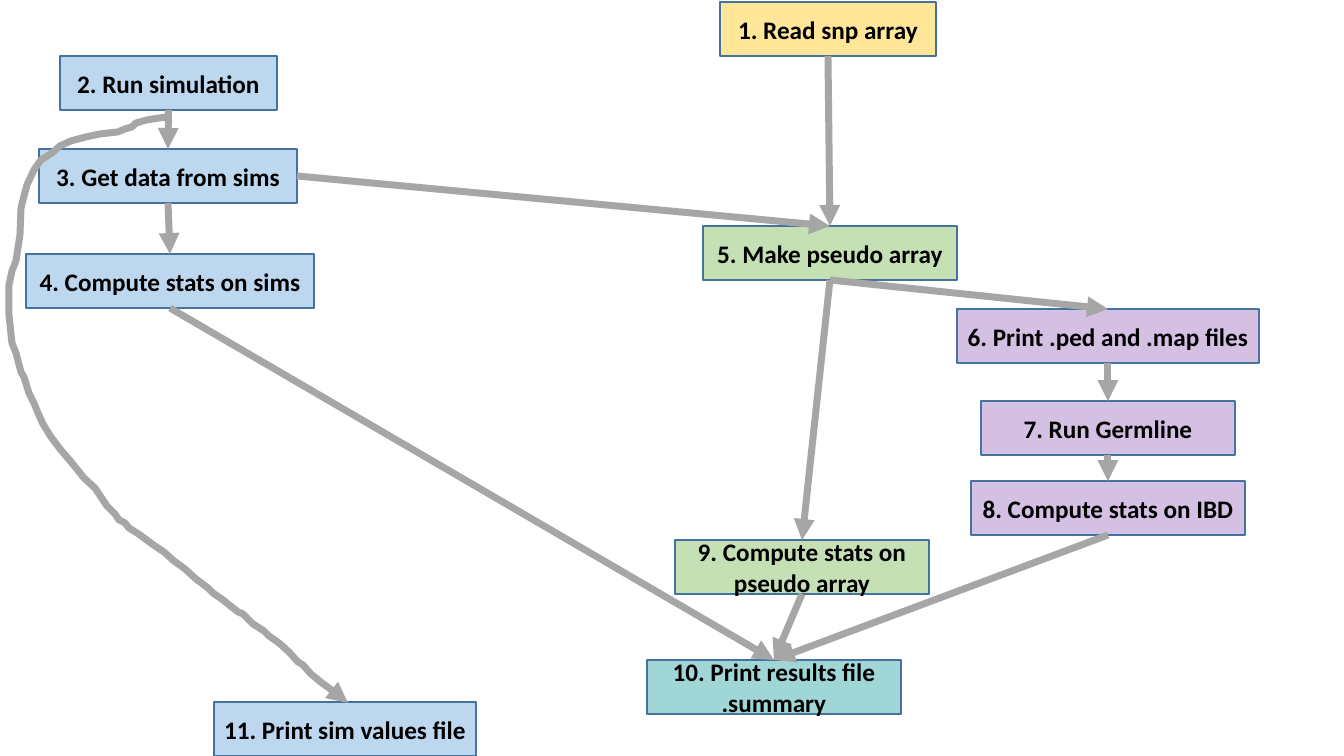
from pptx import Presentation
from pptx.dml.color import RGBColor
from pptx.enum.shapes import MSO_CONNECTOR, MSO_SHAPE
from pptx.enum.text import MSO_ANCHOR, PP_ALIGN
from pptx.oxml.ns import qn
from pptx.util import Pt
from lxml.etree import SubElement

PX = 914400 / 100.8
BOX_HEIGHT = 54
TOP, BOTTOM, RIGHT = 0, 2, 3
OUTLINE, ARROW = "43739E", "A6A6A6"
YELLOW, BLUE, GREEN = ("FFE699", 100), ("BDD7EE", 100), ("C5E0B4", 100)
PURPLE, TEAL = ("7030A0", 30), ("009193", 37)


def px(value):
    return round(value * PX)


def style_arrow(arrow):
    arrow.line.color.rgb = RGBColor.from_string(ARROW)
    arrow.line.width = Pt(5)
    properties = arrow.element.spPr
    SubElement(properties.find(qn("a:ln")), qn("a:tailEnd"), type="triangle")


prs = Presentation()
prs.slide_width, prs.slide_height = px(1344), px(756)
slide = prs.slides.add_slide(prs.slide_layouts[6])

steps = [
    (1, 720, 2, 216, YELLOW, ["Read snp array"]),
    (2, 60, 56, 217, BLUE, ["Run simulation"]),
    (3, 39, 149, 258, BLUE, ["Get data from sims"]),
    (4, 26, 254, 288, BLUE, ["Compute stats on sims"]),
    (5, 703, 226, 254, GREEN, ["Make pseudo array"]),
    (6, 957, 309, 302, PURPLE, ["Print .ped and .map files"]),
    (7, 981, 401, 254, PURPLE, ["Run Germline"]),
    (8, 971, 481, 274, PURPLE, ["Compute stats on IBD"]),
    (9, 675, 540, 254, GREEN, ["Compute stats on pseudo array"]),
    (10, 647, 660, 254, TEAL, ["Print results file", ".summary"]),
    (11, 214, 702, 262, BLUE, ["Print sim values file"]),
]
boxes = {}
for number, left, top, width, (color, opacity), lines in steps:
    box = slide.shapes.add_shape(
        MSO_SHAPE.RECTANGLE, px(left), px(top), px(width), px(BOX_HEIGHT))
    box.shadow.inherit = False
    box.fill.solid()
    box.fill.fore_color.rgb = RGBColor.from_string(color)
    if opacity < 100:
        fill_color = box.element.spPr.find(qn("a:solidFill"))[0]
        SubElement(fill_color, qn("a:alpha"), val=str(opacity * 1000))
    box.line.color.rgb = RGBColor.from_string(OUTLINE)
    box.line.width = Pt(1)
    frame = box.text_frame
    frame.word_wrap = True
    frame.vertical_anchor = MSO_ANCHOR.MIDDLE
    for index, line in enumerate(lines):
        paragraph = frame.add_paragraph() if index else frame.paragraphs[0]
        paragraph.alignment = PP_ALIGN.CENTER
        run = paragraph.add_run()
        run.text = line if index else f"{number}. {line}"
        run.font.name = "Calibri"
        run.font.size = Pt(18)
        run.font.bold = True
        run.font.color.rgb = RGBColor.from_string("000000")
    boxes[number] = box

flows = [
    (1, BOTTOM, 5), (2, BOTTOM, 3), (3, BOTTOM, 4), (3, RIGHT, 5),
    (5, BOTTOM, 9), (6, BOTTOM, 7), (7, BOTTOM, 8), (8, BOTTOM, 10),
    (9, BOTTOM, 10), (4, BOTTOM, 10), (5, BOTTOM, 6),
]
for source, side, target in flows:
    flow = slide.shapes.add_connector(MSO_CONNECTOR.STRAIGHT, 0, 0, 0, 0)
    flow.begin_connect(boxes[source], side)
    flow.end_connect(boxes[target], TOP)
    style_arrow(flow)
    SubElement(flow.element.spPr, qn("a:effectLst"))

sim_values_route = [
    (168, 117), (159, 118), (147, 120), (136, 123), (132, 127), (125, 129),
    (118, 132), (100, 134), (86, 137), (71, 141), (60, 146), (52, 153),
    (41, 160), (34, 170), (27, 185), (22, 204), (21, 209), (20, 235),
    (16, 261), (12, 271), (9, 285), (9, 315), (12, 343), (16, 353),
    (21, 372), (24, 377), (29, 393), (34, 403), (38, 413), (43, 424),
    (51, 437), (60, 449), (72, 463), (84, 478), (95, 488), (107, 506),
    (115, 514), (119, 520), (125, 523), (129, 528), (140, 535), (152, 544),
    (164, 552), (174, 561), (185, 569), (196, 579), (208, 588), (213, 593),
    (223, 600), (238, 612), (243, 614), (253, 624), (264, 631), (269, 636),
    (279, 643), (289, 652), (298, 662), (303, 665), (311, 674), (322, 683),
    (333, 691), (348, 703),
]
builder = slide.shapes.build_freeform(*sim_values_route[0], scale=PX)
builder.add_line_segments(sim_values_route[1:], close=False)
sim_values_arrow = builder.convert_to_shape()
sim_values_arrow.shadow.inherit = False
sim_values_arrow.fill.background()
style_arrow(sim_values_arrow)

prs.save("out.pptx")
